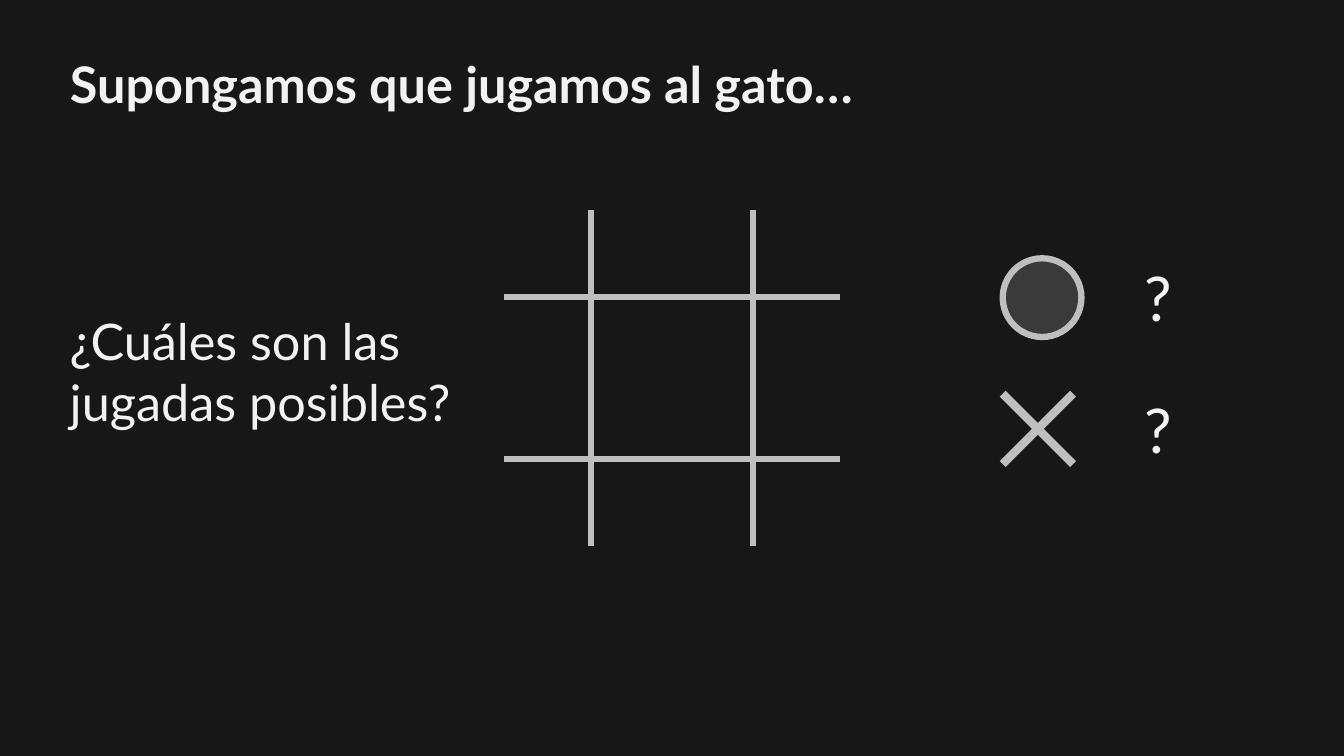
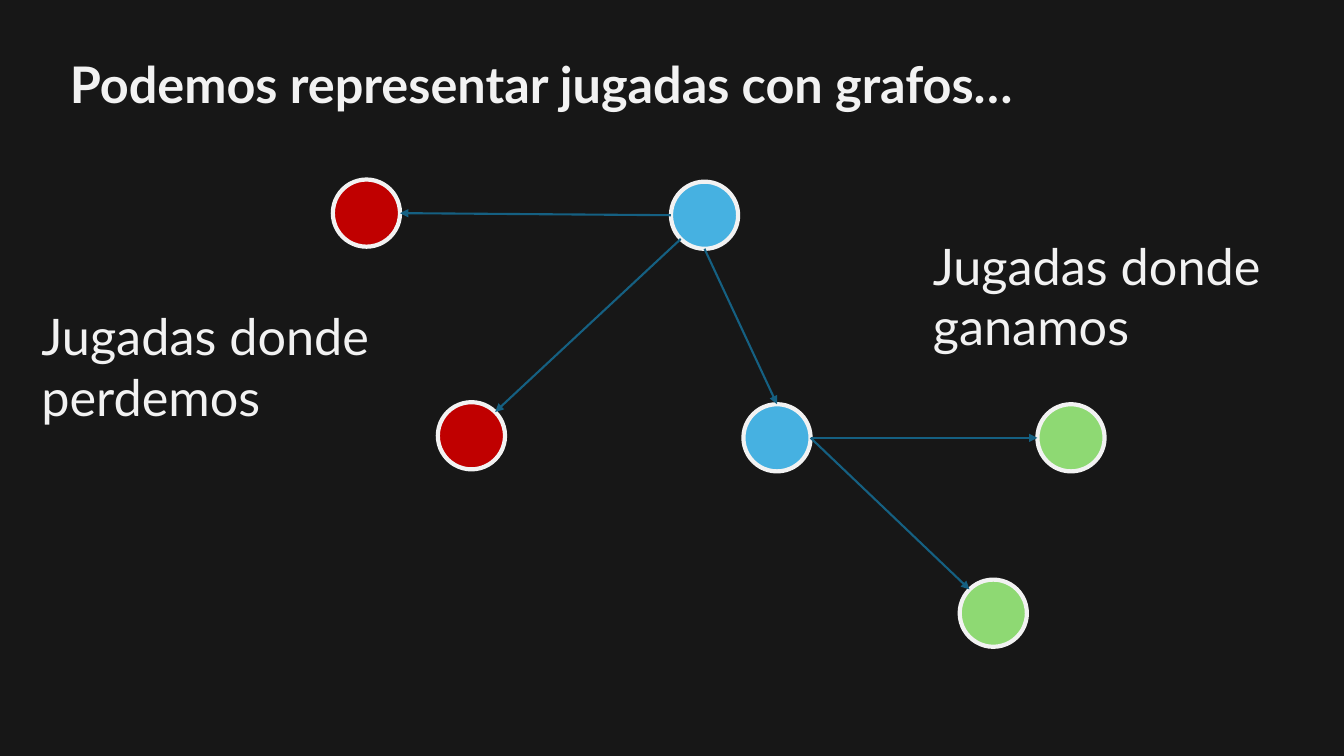
"""Build two dark slides that explain tic-tac-toe moves and their graph."""
from dataclasses import dataclass
from math import cos, pi, sin

from lxml.etree import SubElement
from pptx import Presentation
from pptx.dml.color import RGBColor
from pptx.enum.shapes import MSO_CONNECTOR as Connector, MSO_SHAPE as Shape
from pptx.enum.text import MSO_ANCHOR as Anchor, MSO_AUTO_SIZE as AutoSize, PP_ALIGN as Align
from pptx.oxml.ns import qn
from pptx.util import Emu, Pt


@dataclass(frozen=True)
class Theme:
    font: str = "Lato"
    background: str = "171717"
    text: str = "F2F2F2"
    stroke: str = "BFBFBF"
    token: str = "3A3A3A"
    neutral: str = "46B1E1"
    loss: str = "C00000"
    win: str = "8ED973"
    arrow: str = "156082"
    body_size: int = 36
    mark_size: int = 44
    board_width: float = 4.5
    cross_width: float = 6
    node_width: float = 3
    arrow_width: float = 1.5


THEME = Theme()
PX = 9525
SLIDE_SIZE = (1280, 720)
TITLE_BOX = (57, 46, 1049, 68)

GAME_TITLE = "Supongamos que jugamos al gato…"
GAME_QUESTION = ("¿Cuáles son las jugadas posibles?", (57, 291, 476, 126))
BOARD_LEFT, BOARD_TOP, BOARD_SIZE = 480, 200, 320
BOARD_CUTS = (83, 237)
CIRCLE_BOX = (955, 246, 75, 75)
CROSS_LEFT, CROSS_TOP, CROSS_SIZE = 955, 375, 67
MARKS = [("?", (1081, top, 50, 81)) for top in (243, 369)]

GRAPH_TITLE = "Podemos representar jugadas con grafos…"
NODE_SIZE = 64
NODES = {
    "start": (639, 173, THEME.neutral),
    "loss far": (317, 171, THEME.loss),
    "loss near": (417, 383, THEME.loss),
    "next": (708, 385, THEME.neutral),
    "win far": (988, 385, THEME.win),
    "win near": (914, 552, THEME.win),
}
TOP, TOP_LEFT, LEFT, BOTTOM_LEFT, BOTTOM, BOTTOM_RIGHT, RIGHT, TOP_RIGHT = range(8)
MOVES = [
    ("start", LEFT, "loss far", RIGHT),
    ("start", BOTTOM_LEFT, "loss near", TOP_RIGHT),
    ("start", BOTTOM, "next", TOP),
    ("next", RIGHT, "win far", LEFT),
    ("next", RIGHT, "win near", TOP_LEFT),
]
GRAPH_LABELS = [
    ("Jugadas donde perdemos", (30, 286, 397, 126)),
    ("Jugadas donde ganamos", (879, 219, 397, 126)),
]


def emu(lengths):
    return [Emu(round(length * PX)) for length in lengths]


def color(value):
    return RGBColor.from_string(value)


def write(frame, text, size, bold=False):
    frame.text = text
    frame.word_wrap = True
    frame.auto_size = AutoSize.SHAPE_TO_FIT_TEXT
    frame.vertical_anchor = Anchor.TOP
    paragraph = frame.paragraphs[0]
    paragraph.alignment = Align.LEFT
    font = paragraph.runs[0].font
    font.name, font.size, font.bold = THEME.font, Pt(size), bold
    font.color.rgb = color(THEME.text)


def add_titled_slide(deck, text):
    slide = deck.slides.add_slide(deck.slide_layouts[5])
    title = slide.shapes.title
    title.left, title.top, title.width, title.height = emu(TITLE_BOX)
    write(title.text_frame, text, THEME.body_size, bold=True)
    return slide.shapes


def add_label(shapes, text, box, size=THEME.body_size):
    write(shapes.add_textbox(*emu(box)).text_frame, text, size)


def add_circle(shapes, box, fill, outline, width):
    circle = shapes.add_shape(Shape.OVAL, *emu(box))
    circle.shadow.inherit = False
    circle.fill.solid()
    circle.fill.fore_color.rgb = color(fill)
    circle.line.color.rgb = color(outline)
    circle.line.width = Pt(width)
    return circle


def add_line(shapes, start, end, stroke, width):
    line = shapes.add_connector(Connector.STRAIGHT, *emu((*start, *end)))
    line.line.color.rgb = color(stroke)
    line.line.width = Pt(width)
    SubElement(line._element.spPr, qn("a:effectLst"))
    return line


def add_strokes(shapes, segments, width):
    group = shapes.add_group_shape()
    for start, end in segments:
        add_line(group.shapes, start, end, THEME.stroke, width)


def site_point(node, site):
    left, top, _ = NODES[node]
    radius = NODE_SIZE / 2
    angle = pi / 2 + site * pi / 4
    return left + radius * (1 + cos(angle)), top + radius * (1 - sin(angle))


def add_move(shapes, circles, source, source_site, target, target_site):
    arrow = add_line(shapes, site_point(source, source_site), site_point(target, target_site),
                     THEME.arrow, THEME.arrow_width)
    SubElement(arrow.line._get_or_add_ln(), qn("a:tailEnd"), type="triangle")
    joints = arrow._element.nvCxnSpPr.cNvCxnSpPr
    for tag, node, site in (("a:stCxn", source, source_site), ("a:endCxn", target, target_site)):
        SubElement(joints, qn(tag), id=str(circles[node].shape_id), idx=str(site))


def build_game(deck):
    shapes = add_titled_slide(deck, GAME_TITLE)
    right, bottom = BOARD_LEFT + BOARD_SIZE, BOARD_TOP + BOARD_SIZE
    columns = [((BOARD_LEFT + cut, BOARD_TOP), (BOARD_LEFT + cut, bottom)) for cut in BOARD_CUTS]
    rows = [((BOARD_LEFT, BOARD_TOP + cut), (right, BOARD_TOP + cut)) for cut in BOARD_CUTS]
    add_strokes(shapes, columns + rows, THEME.board_width)
    add_circle(shapes, CIRCLE_BOX, THEME.token, THEME.stroke, THEME.board_width)
    cross_right, cross_bottom = CROSS_LEFT + CROSS_SIZE, CROSS_TOP + CROSS_SIZE
    diagonals = [((CROSS_LEFT, CROSS_TOP), (cross_right, cross_bottom)),
                 ((cross_right, CROSS_TOP), (CROSS_LEFT, cross_bottom))]
    add_strokes(shapes, diagonals, THEME.cross_width)
    add_label(shapes, *GAME_QUESTION)
    for text, box in MARKS:
        add_label(shapes, text, box, THEME.mark_size)


def build_graph(deck):
    shapes = add_titled_slide(deck, GRAPH_TITLE)
    circles = {
        node: add_circle(shapes, (left, top, NODE_SIZE, NODE_SIZE), fill, THEME.text, THEME.node_width)
        for node, (left, top, fill) in NODES.items()
    }
    for move in MOVES:
        add_move(shapes, circles, *move)
    for text, box in GRAPH_LABELS:
        add_label(shapes, text, box)


def main():
    deck = Presentation()
    deck.slide_width, deck.slide_height = emu(SLIDE_SIZE)
    backdrop = deck.slide_master.background.fill
    backdrop.solid()
    backdrop.fore_color.rgb = color(THEME.background)
    build_game(deck)
    build_graph(deck)
    deck.save("out.pptx")


if __name__ == "__main__":
    main()
